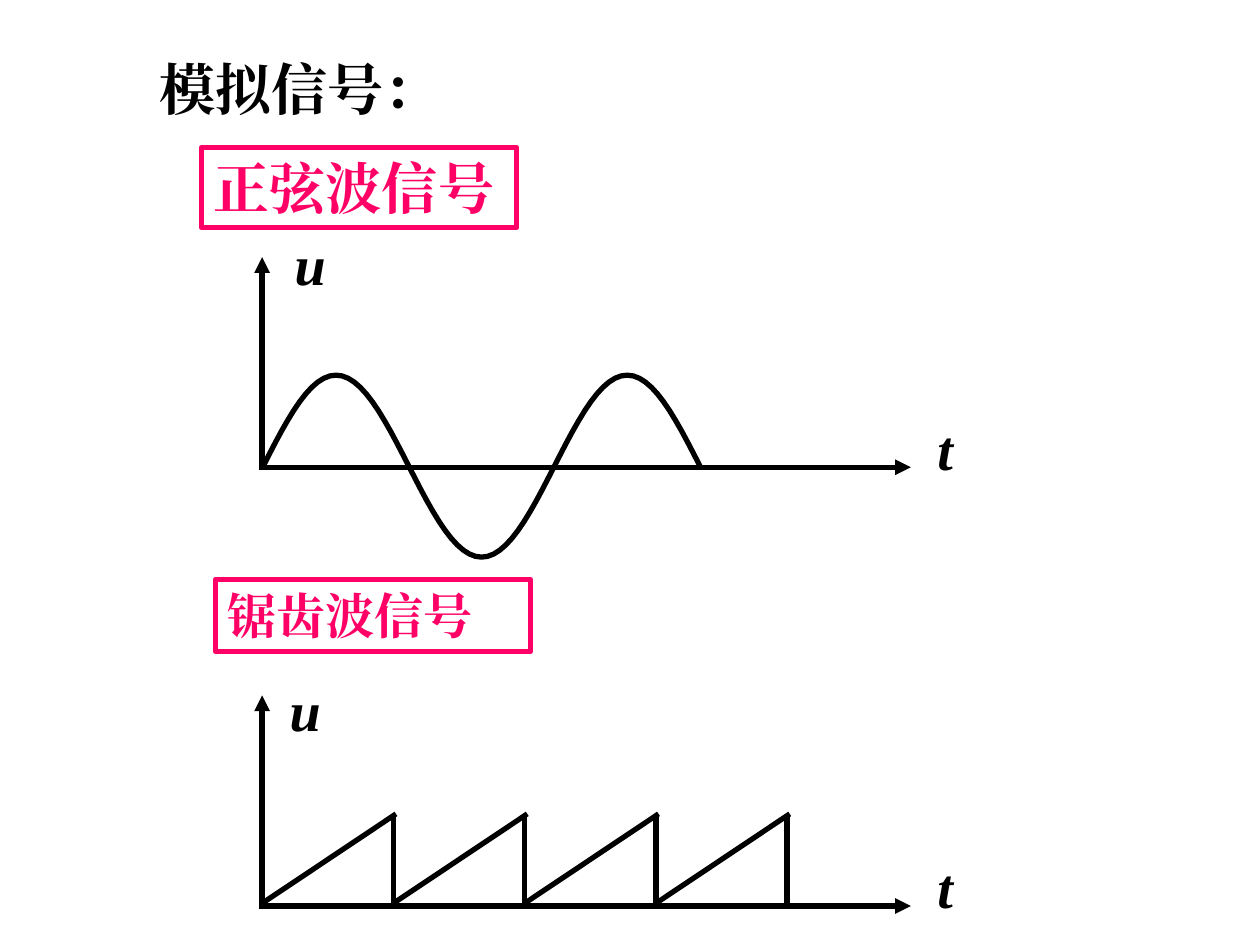
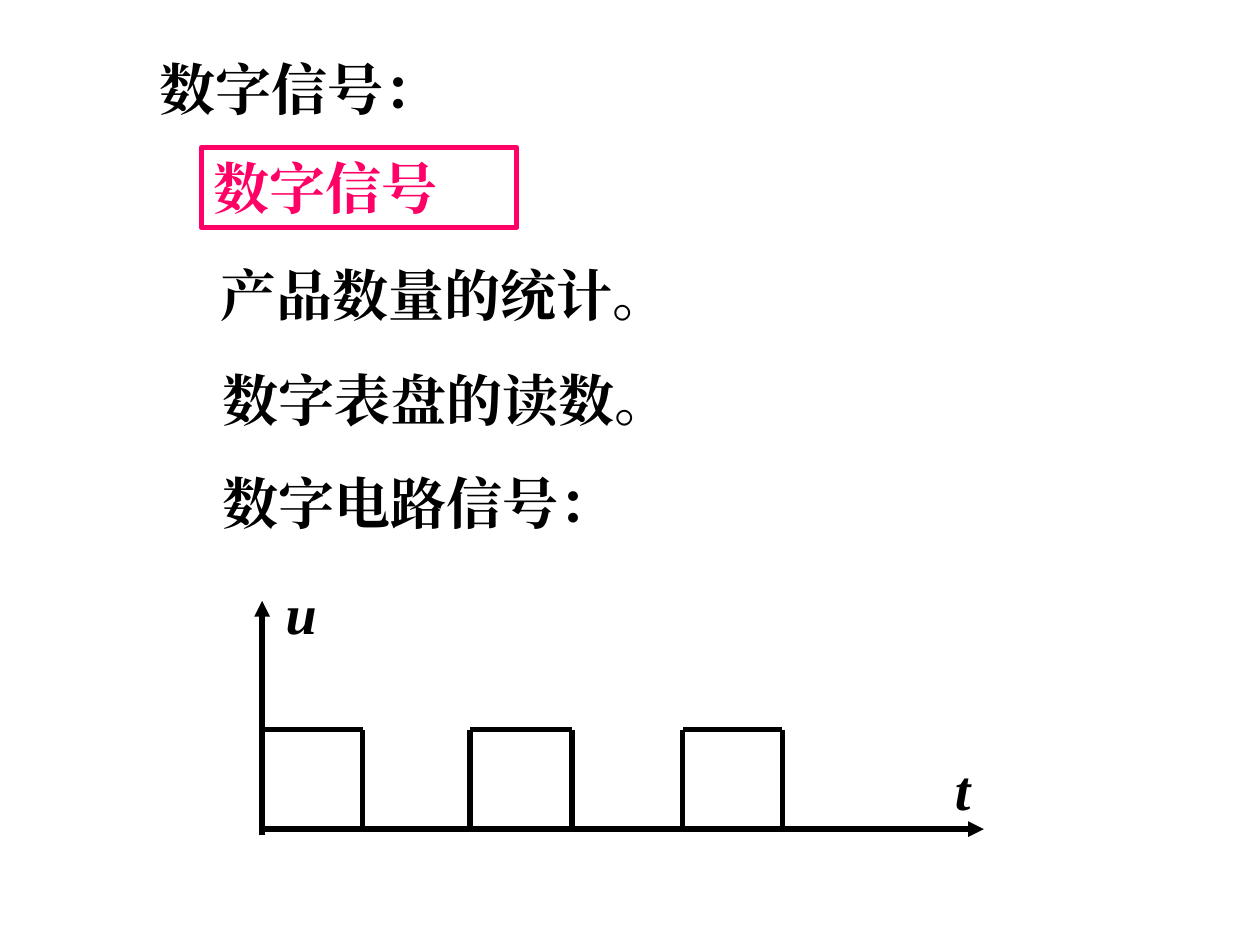
import math
from dataclasses import dataclass

import pptx
import pptx.dml.color
import pptx.enum.shapes
import pptx.enum.text
import pptx.oxml
import pptx.oxml.ns
import pptx.util

Pt = pptx.util.Pt
RGB = pptx.dml.color.RGBColor
qn = pptx.oxml.ns.qn


@dataclass(frozen=True)
class Theme:
    ink: RGB = RGB(0, 0, 0)
    accent: RGB = RGB(0xFF, 0, 0x66)
    paper: RGB = RGB(0xFF, 0xFF, 0xFF)
    font: str = "Times New Roman"
    size: int = 32
    small: int = 28
    stroke: int = 3
    text_height: int = 46


THEME = Theme()


def write_text(shape, text, size=THEME.size, color=THEME.ink, italic=False):
    tf = shape.text_frame
    tf.word_wrap = True
    tf.auto_size = pptx.enum.text.MSO_AUTO_SIZE.SHAPE_TO_FIT_TEXT
    tf.vertical_anchor = pptx.enum.text.MSO_ANCHOR.TOP
    tf.margin_left = tf.margin_right = Pt(7.2)
    tf.margin_top = tf.margin_bottom = Pt(3.6)
    p = tf.paragraphs[0]
    p.alignment = pptx.enum.text.PP_ALIGN.LEFT
    p.line_spacing = 1.0
    p.space_before = Pt(size * 0.625)
    r = p.add_run()
    r.text = text
    r.font.name = THEME.font
    r.font.size = Pt(size)
    r.font.bold = True
    r.font.italic = italic
    r.font.color.rgb = color
    ea = pptx.oxml.parse_xml(
        f'<a:ea {pptx.oxml.ns.nsdecls("a")} typeface="{THEME.font}"/>')
    r.font._element.find(qn("a:latin")).addnext(ea)


def add_text(s, text, left, top, width, **fmt):
    box = s.shapes.add_textbox(Pt(left), Pt(top), Pt(width), Pt(THEME.text_height))
    write_text(box, text, **fmt)


def add_label(s, text, left, top, height=THEME.text_height, **fmt):
    sp = s.shapes.add_shape(pptx.enum.shapes.MSO_SHAPE.RECTANGLE,
                            Pt(left), Pt(top), Pt(180), Pt(height))
    sp.shadow.inherit = False
    sp.fill.background()
    sp.line.color.rgb = THEME.accent
    sp.line.width = Pt(THEME.stroke)
    write_text(sp, text, color=THEME.accent, **fmt)


def add_line(s, x1, y1, x2, y2, arrow=False):
    line = s.shapes.add_connector(pptx.enum.shapes.MSO_CONNECTOR.STRAIGHT,
                                  Pt(x1), Pt(y1), Pt(x2), Pt(y2))
    line.line.color.rgb = THEME.ink
    line.line.width = Pt(THEME.stroke)
    sp_pr = line._element.spPr
    if arrow:
        pptx.oxml.ns.qn
        tail = sp_pr.find(qn("a:ln")).makeelement(qn("a:tailEnd"), {"type": "triangle"})
        sp_pr.find(qn("a:ln")).append(tail)
    sp_pr.append(sp_pr.makeelement(qn("a:effectLst"), {}))


def add_axes(s, x, y, top, right, u_at, t_at, overhang=(0, 0)):
    add_line(s, x, y + overhang[1], x, top, arrow=True)
    add_line(s, x - overhang[0], y, right, y, arrow=True)
    add_text(s, "u", *u_at, 45, italic=True)
    add_text(s, "t", *t_at, 54, italic=True)


def add_half_wave(s, x, y, width, height, steps=24):
    points = [(Pt(x + width * i / steps),
               Pt(y - height * math.sin(math.pi * i / steps)))
              for i in range(steps + 1)]
    builder = s.shapes.build_freeform(*points[0], scale=1.0)
    builder.add_line_segments(points[1:], close=False)
    wave = builder.convert_to_shape()
    wave.shadow.inherit = False
    wave.fill.background()
    wave.line.color.rgb = THEME.ink
    wave.line.width = Pt(THEME.stroke)


def add_sawtooth(s, x, y, period, height, count):
    for left in (x + period * i for i in range(count)):
        add_line(s, left, y - 1.5, left + period + 1.5, y - height - 1.5)
        add_line(s, left + period, y - height, left + period, y)


def add_pulses(s, y, height, spans):
    for left, right in spans:
        add_line(s, left, y, left, y - height)
        add_line(s, right, y, right, y - height)
        add_line(s, left, y - height, right, y - height)


def add_slide(prs, title):
    s = prs.slides.add_slide(prs.slide_layouts[5])
    s.background.fill.solid()
    s.background.fill.fore_color.rgb = THEME.paper
    sp = s.shapes.title
    sp.left, sp.top, sp.width, sp.height = Pt(84), Pt(27.4), Pt(336), Pt(THEME.text_height)
    write_text(sp, title)
    return s


def analog_slide(prs):
    s = add_slide(prs, "模拟信号：")
    add_label(s, "正弦波信号", 115.2, 84.2)
    x, sine_y, saw_y = 149.8, 267, 517.7
    add_axes(s, x, sine_y, 146.9, 520.5, (161.3, 127.4), (528.5, 233.3), (1.5, 0))
    for i in range(3):
        add_half_wave(s, x + 0.6 + 83.2 * i, sine_y - 0.6, 83.2, 52 * (-1) ** i)
    add_label(s, "锯齿波信号", 123.1, 331.2, 41, size=THEME.small)
    add_axes(s, x, saw_y, 397.4, 520.5, (158.4, 382.3), (528.5, 483.8), (1.5, 0))
    add_sawtooth(s, x, saw_y, 75, 51.1, 4)


def digital_slide(prs):
    s = add_slide(prs, "数字信号：")
    add_label(s, "数字信号", 115.2, 84.2)
    for text, left, top in (("产品数量的统计。", 118.8, 145.4),
                            ("数字表盘的读数。", 120.2, 205.2),
                            ("数字电路信号：", 120.2, 264.2)):
        add_text(s, text, left, top, 365)
    x, y = 149.8, 473.8
    add_axes(s, x, y, 343.4, 562.3, (156.2, 326.9), (538.6, 427.7), (0, 3.6))
    add_pulses(s, y, 56.9, ((x, 207.2), (268.6, 326.9), (390.2, 447.1)))


def main():
    prs = pptx.Presentation()
    prs.slide_width, prs.slide_height = Pt(720), Pt(540)
    analog_slide(prs)
    digital_slide(prs)
    prs.save("out.pptx")


if __name__ == "__main__":
    main()
